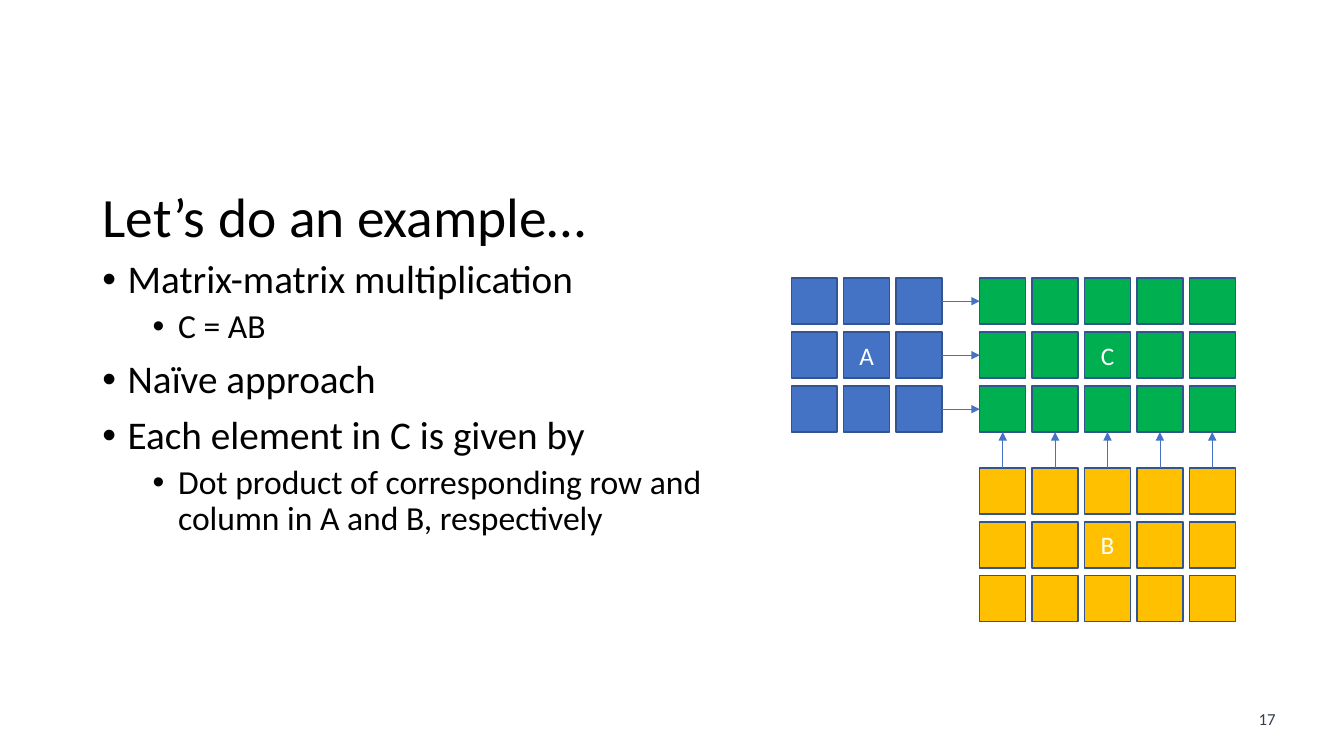
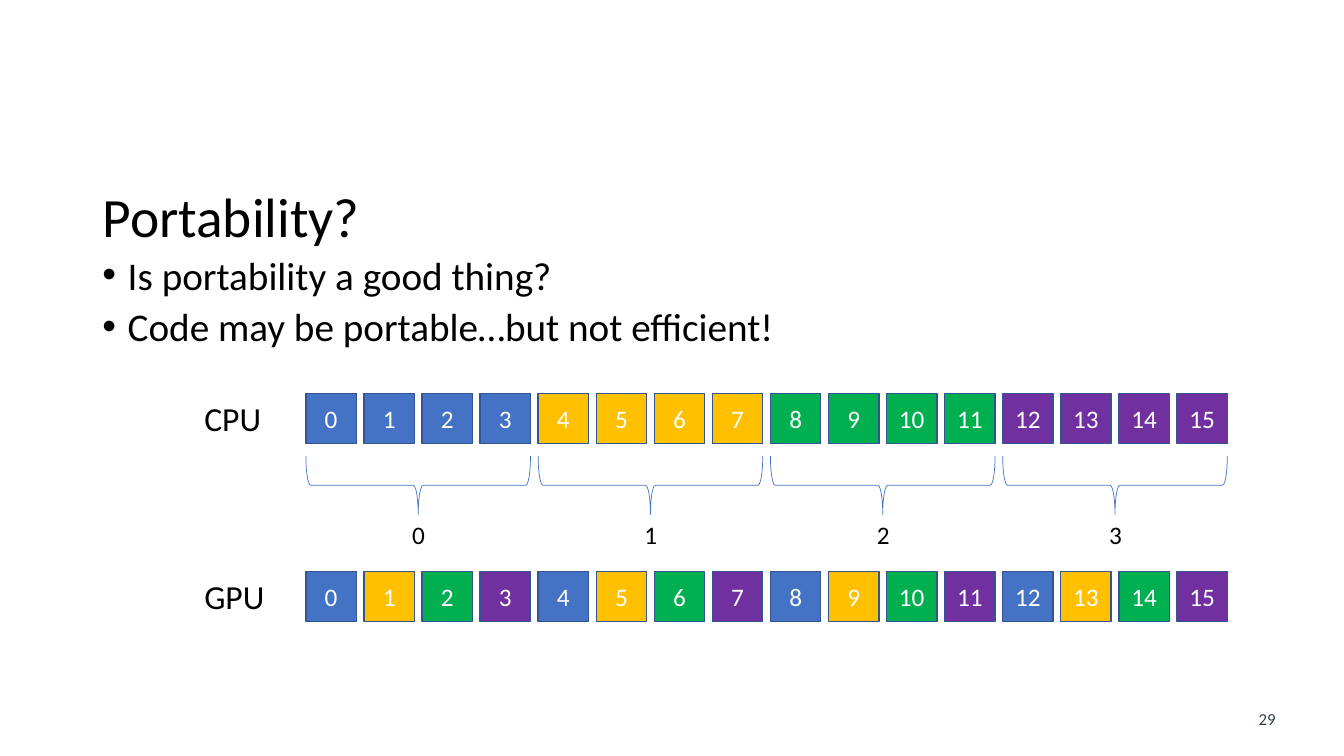
from dataclasses import dataclass
from typing import Union

from lxml.etree import SubElement
from pptx import Presentation
from pptx.dml.color import RGBColor
from pptx.enum.shapes import MSO_CONNECTOR, MSO_SHAPE
from pptx.enum.text import MSO_ANCHOR, MSO_AUTO_SIZE, PP_ALIGN
from pptx.oxml.ns import qn
from pptx.shapes.autoshape import Shape
from pptx.shapes.shapetree import GroupShapes, SlideShapes
from pptx.slide import Slide
from pptx.text.text import TextFrame, _Paragraph
from pptx.util import Cm, Pt

ShapeTree = Union[SlideShapes, GroupShapes]


@dataclass(frozen=True)
class Theme:
    font: str = "Calibri"
    ink: RGBColor = RGBColor(0x00, 0x00, 0x00)
    white: RGBColor = RGBColor(0xFF, 0xFF, 0xFF)
    page_ink: RGBColor = RGBColor(0x33, 0x3F, 0x50)
    blue: RGBColor = RGBColor(0x44, 0x72, 0xC4)
    amber: RGBColor = RGBColor(0xFF, 0xC0, 0x00)
    green: RGBColor = RGBColor(0x00, 0xB0, 0x50)
    purple: RGBColor = RGBColor(0x70, 0x30, 0xA0)
    outline: RGBColor = RGBColor(0x32, 0x54, 0x91)
    title_size: float = 39.6
    bullet_sizes: tuple[int, int] = (28, 24)
    row_label_size: int = 24
    cell_size: int = 18
    page_size: int = 12


THEME = Theme()


@dataclass(frozen=True)
class Box:
    """Position and size in centimetres."""
    left: float
    top: float
    width: float
    height: float

    def emu(self) -> tuple[Cm, Cm, Cm, Cm]:
        return Cm(self.left), Cm(self.top), Cm(self.width), Cm(self.height)


@dataclass(frozen=True)
class Bullet:
    text: str
    level: int = 0


@dataclass(frozen=True)
class Matrix:
    name: str
    left: float
    top: float
    columns: int
    fill: RGBColor


@dataclass(frozen=True)
class ThreadRow:
    label: str
    top: float
    fills: list[RGBColor]


TITLE = Box(2.33, 4.65, 29.21, 1.78)
PAGE_NUMBER = Box(31.34, 17.73, 1.19, 0.76)

# Matrix grid
MATRIX_ROWS = 3
MATRIX_CELL = 1.16
COLUMN_PITCH = 1.32
ROW_PITCH = 1.36
MATRIX_A = Matrix("A", 19.94, 7.01, 3, THEME.blue)
MATRIX_C = Matrix("C", 24.69, 7.01, 5, THEME.green)
MATRIX_B = Matrix("B", 24.69, 11.79, 5, THEME.amber)

# Thread rows: four threads sharing sixteen elements
THREAD_FILLS = [THEME.blue, THEME.amber, THEME.green, THEME.purple]
THREADS = len(THREAD_FILLS)
ELEMENTS = 16
CHUNK = ELEMENTS // THREADS
THREAD_LEFT = 7.71
THREAD_SPAN = 23.22
THREAD_CELL = 1.27
THREAD_PITCH = (THREAD_SPAN - THREAD_CELL) / (ELEMENTS - 1)
CPU_ROW = ThreadRow("CPU", 9.91, [THREAD_FILLS[i // CHUNK] for i in range(ELEMENTS)])
GPU_ROW = ThreadRow("GPU", 14.4, [THREAD_FILLS[i % THREADS] for i in range(ELEMENTS)])
BRACE_MIDDLE = 12.23
BRACE_DEPTH = 1.47


def style(paragraph: _Paragraph, size: float, color: RGBColor) -> None:
    paragraph.font.name = THEME.font
    paragraph.font.size = Pt(size)
    paragraph.font.color.rgb = color


def add_label(shapes: ShapeTree, text: str, box: Box, size: float,
              color: RGBColor = THEME.ink, align: PP_ALIGN = PP_ALIGN.LEFT) -> None:
    frame = shapes.add_textbox(*box.emu()).text_frame
    frame.word_wrap = True
    if align == PP_ALIGN.CENTER:
        frame.margin_left = frame.margin_right = 0
    paragraph = frame.paragraphs[0]
    paragraph.text = text
    paragraph.alignment = align
    style(paragraph, size, color)


def add_cell(shapes: ShapeTree, box: Box, fill: RGBColor, text: str = "") -> Shape:
    cell = shapes.add_shape(MSO_SHAPE.RECTANGLE, *box.emu())
    cell.shadow.inherit = False
    cell.fill.solid()
    cell.fill.fore_color.rgb = fill
    cell.line.color.rgb = THEME.outline
    cell.line.width = Pt(1)
    if text:
        cell.text_frame.vertical_anchor = MSO_ANCHOR.MIDDLE
        paragraph = cell.text_frame.paragraphs[0]
        paragraph.text = text
        paragraph.alignment = PP_ALIGN.CENTER
        style(paragraph, THEME.cell_size, THEME.white)
    return cell


def add_arrow(shapes: ShapeTree, start: Shape, start_side: int,
              end: Shape, end_side: int) -> None:
    arrow = shapes.add_connector(MSO_CONNECTOR.STRAIGHT, 0, 0, 0, 0)
    arrow.begin_connect(start, start_side)
    arrow.end_connect(end, end_side)
    arrow.line.color.rgb = THEME.blue
    arrow.line.width = Pt(0.5)
    SubElement(arrow.line._get_or_add_ln(), qn("a:tailEnd"), type="triangle")
    SubElement(arrow._element.spPr, qn("a:effectLst"))


def fill_bullets(frame: TextFrame, bullets: list[Bullet], line_spacing: float) -> None:
    frame.word_wrap = True
    for index, bullet in enumerate(bullets):
        paragraph = frame.add_paragraph() if index else frame.paragraphs[0]
        paragraph.text = bullet.text
        paragraph.level = bullet.level
        paragraph.line_spacing = line_spacing
        paragraph.space_before = Pt(5 if bullet.level else 10)
        # Hanging bullet
        properties = paragraph._p.get_or_add_pPr()
        properties.set("marL", str(Cm(0.64 + 1.27 * bullet.level)))
        properties.set("indent", str(Cm(-0.64)))
        SubElement(properties, qn("a:buFont"), typeface="Arial")
        SubElement(properties, qn("a:buChar"), char="•")
        style(paragraph, THEME.bullet_sizes[bullet.level], THEME.ink)


def add_slide(deck: Presentation, title: str, page: str, body: Box,
              bullets: list[Bullet], line_spacing: float) -> Slide:
    slide = deck.slides.add_slide(deck.slide_layouts[5])
    add_label(slide.shapes, page, PAGE_NUMBER, THEME.page_size, THEME.page_ink,
              PP_ALIGN.CENTER)

    heading = slide.shapes.title
    heading.left, heading.top, heading.width, heading.height = TITLE.emu()
    frame = heading.text_frame
    frame.auto_size = MSO_AUTO_SIZE.NONE
    frame.vertical_anchor = MSO_ANCHOR.MIDDLE
    paragraph = frame.paragraphs[0]
    paragraph.text = title
    paragraph.alignment = PP_ALIGN.LEFT
    paragraph.line_spacing = 0.9
    style(paragraph, THEME.title_size, THEME.ink)

    fill_bullets(slide.shapes.add_textbox(*body.emu()).text_frame, bullets, line_spacing)
    return slide


def add_matrix(shapes: ShapeTree, matrix: Matrix) -> list[list[Shape]]:
    center = (MATRIX_ROWS // 2, matrix.columns // 2)
    return [
        [
            add_cell(
                shapes,
                Box(matrix.left + column * COLUMN_PITCH, matrix.top + row * ROW_PITCH,
                    MATRIX_CELL, MATRIX_CELL),
                matrix.fill,
                matrix.name if (row, column) == center else "",
            )
            for column in range(matrix.columns)
        ]
        for row in range(MATRIX_ROWS)
    ]


def add_thread_row(shapes: ShapeTree, row: ThreadRow) -> None:
    for index, fill in enumerate(row.fills):
        left = THREAD_LEFT + index * THREAD_PITCH
        add_cell(shapes, Box(left, row.top, THREAD_CELL, THREAD_CELL), fill, str(index))
    add_label(shapes, row.label, Box(4.9, row.top, 2.7, THREAD_CELL),
              THEME.row_label_size)


def add_chunk_brace(shapes: ShapeTree, thread: int) -> None:
    span = (CHUNK - 1) * THREAD_PITCH + THREAD_CELL
    middle = THREAD_LEFT + thread * CHUNK * THREAD_PITCH + span / 2
    # A left brace turned to point downwards
    brace = shapes.add_shape(
        MSO_SHAPE.LEFT_BRACE,
        *Box(middle - BRACE_DEPTH / 2, BRACE_MIDDLE - span / 2, BRACE_DEPTH, span).emu())
    brace.rotation = 270
    brace.shadow.inherit = False
    brace.fill.background()
    brace.line.color.rgb = THEME.blue
    brace.line.width = Pt(0.5)
    add_label(shapes, str(thread), Box(middle - 0.4, 12.95, 0.82, 1.02),
              THEME.cell_size, align=PP_ALIGN.CENTER)


def build_example(deck: Presentation) -> None:
    bullets = [
        Bullet("Matrix-matrix multiplication"),
        Bullet("C = AB", 1),
        Bullet("Naïve approach"),
        Bullet("Each element in C is given by"),
        Bullet("Dot product of corresponding row and column in A and B, respectively", 1),
    ]
    slide = add_slide(deck, "Let’s do an example…", "17",
                      Box(2.33, 6.43, 16.89, 11.07), bullets, 0.9)
    a, c, b = (add_matrix(slide.shapes, m) for m in (MATRIX_A, MATRIX_C, MATRIX_B))
    # Rows of A and columns of B feed C
    for a_row, c_row in zip(a, c):
        add_arrow(slide.shapes, a_row[-1], 3, c_row[0], 1)
    for b_top, c_bottom in zip(b[0], c[-1]):
        add_arrow(slide.shapes, b_top, 0, c_bottom, 2)


def build_portability(deck: Presentation) -> None:
    bullets = [
        Bullet("Is portability a good thing?"),
        Bullet("Code may be portable…but not efficient!"),
    ]
    slide = add_slide(deck, "Portability?", "29",
                      Box(2.33, 6.43, 29.21, 2.74), bullets, 0.8)
    # Contiguous chunks per thread
    cpu = slide.shapes.add_group_shape().shapes
    add_thread_row(cpu, CPU_ROW)
    for thread in range(THREADS):
        add_chunk_brace(cpu, thread)
    # Interleaved threads
    add_thread_row(slide.shapes.add_group_shape().shapes, GPU_ROW)


def main() -> None:
    deck = Presentation()
    deck.slide_width, deck.slide_height = Cm(33.87), Cm(19.05)
    build_example(deck)
    build_portability(deck)
    deck.save("out.pptx")


if __name__ == "__main__":
    main()
